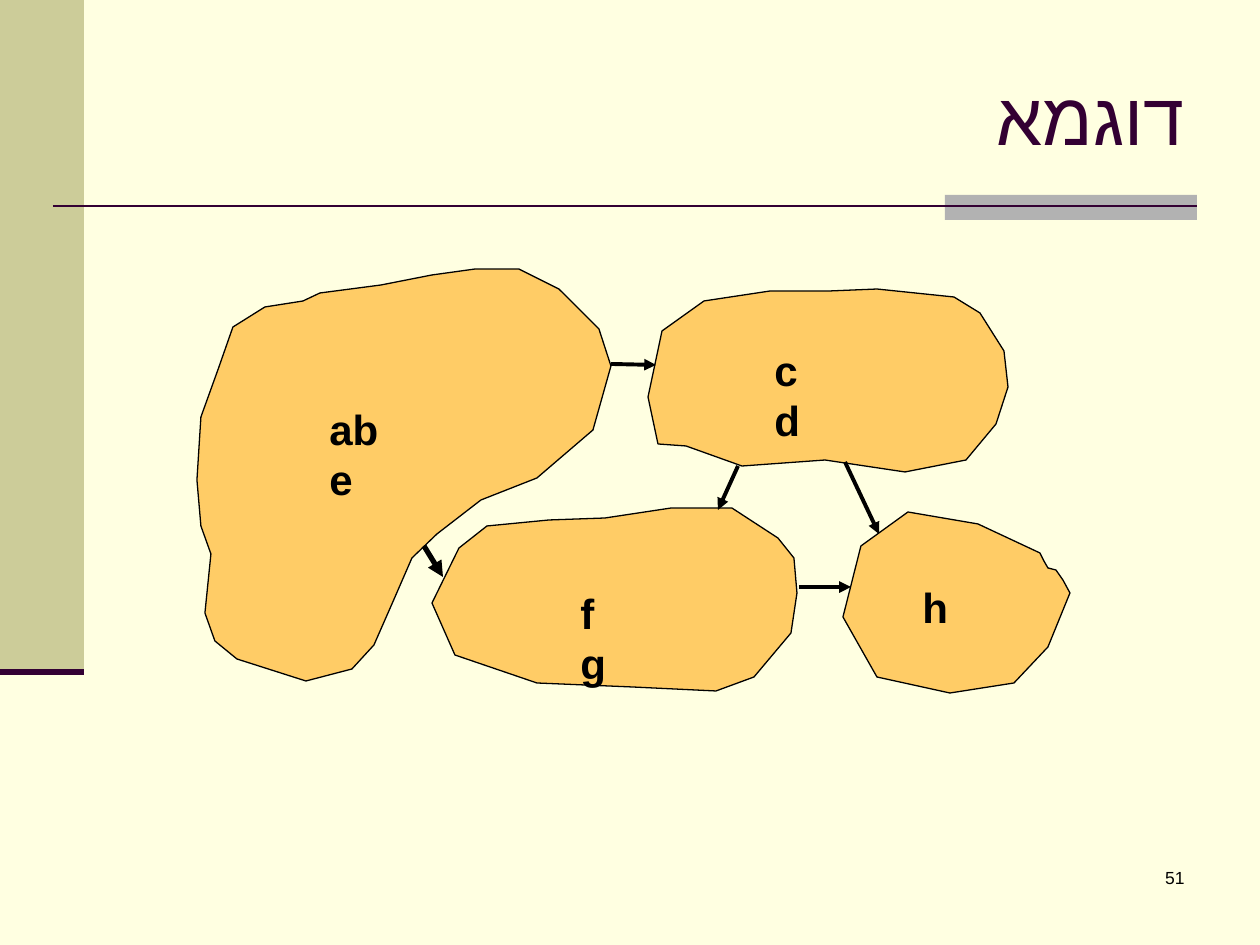
from dataclasses import dataclass

from lxml.etree import SubElement
from pptx import Presentation
from pptx.dml.color import RGBColor
from pptx.enum.shapes import MSO_CONNECTOR, MSO_SHAPE
from pptx.enum.text import MSO_ANCHOR, MSO_AUTO_SIZE, PP_ALIGN
from pptx.oxml.ns import qn
from pptx.util import Emu, Inches, Pt

PX = 914400 / 126  # EMU per pixel


@dataclass(frozen=True)
class Theme:
    background: str = "FFFFE1"
    sidebar: str = "CCCC99"
    accent: str = "B2B2B2"
    title: str = "330033"
    component: str = "FFCC66"
    ink: str = "000000"
    title_font: str = "Times New Roman"
    body_font: str = "Arial"
    title_size: int = 42
    label_size: int = 24
    number_size: int = 10


T = Theme()


@dataclass(frozen=True)
class Component:
    label: str
    box: tuple[int, int, int, int]
    points: list[tuple[int, int]]


@dataclass(frozen=True)
class Line:
    start: tuple[int, int]
    end: tuple[int, int]
    width: float = 2.25
    color: str = T.ink
    arrow: bool = True


COMPONENTS = [
    Component("h", (910, 575, 49, 63), [
        (978, 524), (908, 512), (861, 546), (843, 617), (877, 677), (950, 693),
        (1014, 683), (1048, 647), (1070, 593), (1063, 580), (1056, 570),
        (1048, 568), (1044, 561), (1040, 553)]),
    Component("fg", (568, 581, 60, 63), [
        (605, 518), (549, 520), (487, 526), (459, 548), (432, 603), (455, 655),
        (537, 683), (633, 687), (716, 691), (754, 677), (791, 633), (797, 593),
        (794, 558), (778, 538), (732, 508), (671, 508)]),
    Component("cd", (762, 338, 67, 63), [
        (877, 289), (829, 291), (770, 291), (704, 301), (662, 331), (648, 397),
        (658, 444), (686, 446), (742, 466), (825, 460), (905, 472), (966, 460),
        (996, 424), (1008, 387), (1004, 351), (980, 313), (954, 297)]),
    Component("abe", (317, 397, 88, 63), [
        (265, 307), (233, 327), (219, 367), (201, 417), (197, 480), (201, 526),
        (211, 554), (205, 613), (215, 641), (237, 659), (306, 681), (352, 669),
        (374, 645), (392, 604), (412, 558), (437, 534), (481, 500), (537, 478),
        (593, 430), (611, 366), (599, 329), (559, 289), (519, 269), (475, 269),
        (432, 275), (381, 285), (320, 293), (303, 301)]),
]

RULES = [
    Line((53, 206), (1197, 206), 1.5, T.title, False),
    Line((0, 672), (84, 672), 3.5, T.title, False),
]

ARROWS = [
    Line((611, 364), (656, 365)),
    Line((424, 546), (443, 577), 3),
    Line((738, 466), (718, 510)),
    Line((845, 462), (879, 534)),
    Line((799, 587), (851, 587)),
]


def px(value: float) -> Emu:
    return Emu(round(value * PX))


def rgb(color: str) -> RGBColor:
    return RGBColor.from_string(color)


def write(tf, text: str, *, size: int, font: str = T.body_font, color: str = T.ink,
          bold: bool = False, align=PP_ALIGN.LEFT):
    """Put formatted text into the first paragraph and return it."""
    p = tf.paragraphs[0]
    p.alignment = align
    r = p.add_run()
    r.text = text
    r.font.size, r.font.name, r.font.bold = Pt(size), font, bold
    r.font.color.rgb = rgb(color)
    return p


def add_text(s, text: str, box: tuple[int, int, int, int], **fmt) -> None:
    tf = s.shapes.add_textbox(*map(px, box)).text_frame
    tf.word_wrap = True
    write(tf, text, **fmt)


def paint(sp, color: str) -> None:
    sp.shadow.inherit = False
    sp.fill.solid()
    sp.fill.fore_color.rgb = rgb(color)


def add_band(s, box: tuple[int, int, int, int], color: str) -> None:
    sp = s.shapes.add_shape(MSO_SHAPE.RECTANGLE, *map(px, box))
    paint(sp, color)
    sp.line.fill.background()


def add_component(s, component: Component) -> None:
    builder = s.shapes.build_freeform(*component.points[0], scale=PX)
    builder.add_line_segments(component.points[1:], close=True)
    sp = builder.convert_to_shape()
    paint(sp, T.component)
    sp.line.color.rgb = rgb(T.ink)
    sp.line.width = Pt(0.75)


def add_line(s, line: Line) -> None:
    cxn = s.shapes.add_connector(MSO_CONNECTOR.STRAIGHT,
                                 *map(px, line.start + line.end))
    cxn.line.color.rgb = rgb(line.color)
    cxn.line.width = Pt(line.width)
    sp_pr = cxn._element.spPr
    if line.arrow:
        SubElement(sp_pr.find(qn("a:ln")), qn("a:tailEnd"), type="triangle")
    SubElement(sp_pr, qn("a:effectLst"))


def add_title(s, text: str) -> None:
    sp = s.shapes.title
    sp.left, sp.top, sp.width, sp.height = map(px, (126, 38, 1071, 157))
    tf = sp.text_frame
    tf.auto_size = MSO_AUTO_SIZE.NONE
    tf.vertical_anchor = MSO_ANCHOR.MIDDLE
    p = write(tf, text, size=T.title_size, font=T.title_font, color=T.title,
              align=PP_ALIGN.RIGHT)
    # Right-to-left paragraph with a Hebrew face
    p._p.get_or_add_pPr().set("rtl", "1")
    r_pr = p.runs[0]._r.get_or_add_rPr()
    SubElement(r_pr, qn("a:cs"), typeface=T.body_font)


prs = Presentation()
prs.slide_width, prs.slide_height = Inches(10), Inches(7.5)
s = prs.slides.add_slide(prs.slide_layouts[5])
s.background.fill.solid()
s.background.fill.fore_color.rgb = rgb(T.background)

# Frame
add_band(s, (0, 0, 84, 672), T.sidebar)
add_band(s, (945, 195, 252, 25), T.accent)
for rule in RULES:
    add_line(s, rule)
add_text(s, "51", (935, 861, 262, 63), size=T.number_size, align=PP_ALIGN.RIGHT)

# Components, their labels and the arrows between them
for component in COMPONENTS:
    add_component(s, component)
for component in COMPONENTS:
    add_text(s, component.label, component.box, size=T.label_size, bold=True)
for arrow in ARROWS:
    add_line(s, arrow)

add_title(s, "דוגמא")
prs.save("out.pptx")
